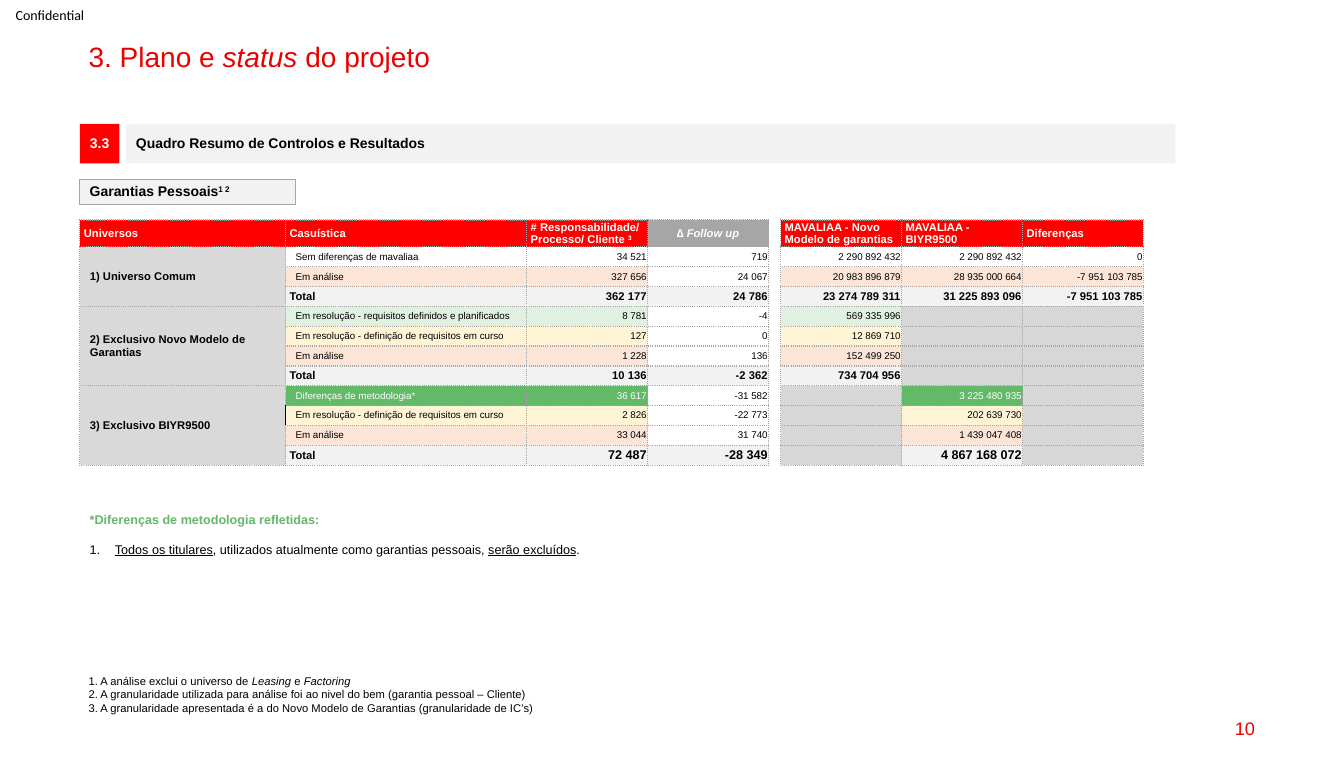
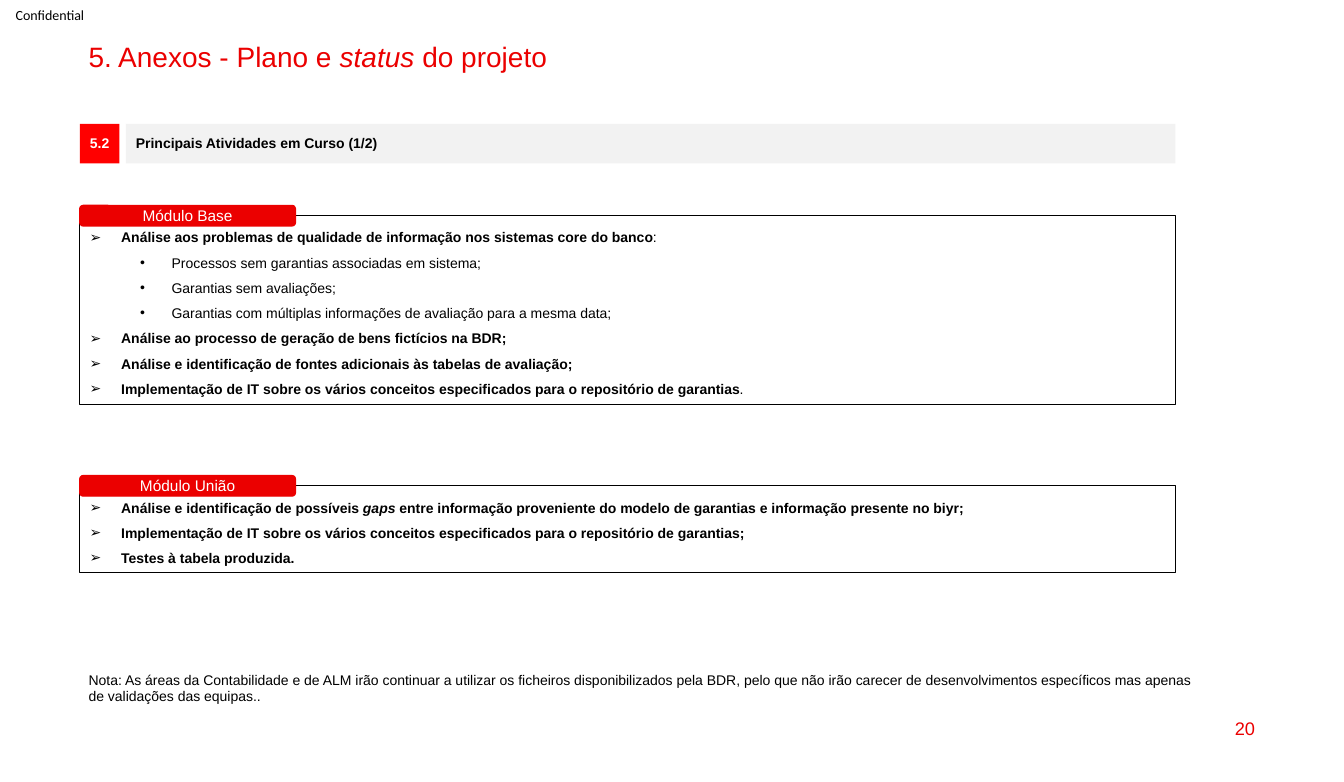
from dataclasses import dataclass
from typing import NamedTuple, Optional

from lxml import etree
from pptx import Presentation
from pptx.dml.color import RGBColor
from pptx.enum.shapes import MSO_SHAPE
from pptx.enum.text import MSO_ANCHOR, PP_ALIGN
from pptx.oxml.ns import qn
from pptx.util import Pt


@dataclass(frozen=True)
class Theme:
    accent: RGBColor = RGBColor(0xEB, 0x00, 0x00)
    red: RGBColor = RGBColor(0xFF, 0x00, 0x00)
    white: RGBColor = RGBColor(0xFF, 0xFF, 0xFF)
    black: RGBColor = RGBColor(0x00, 0x00, 0x00)
    band: RGBColor = RGBColor(0xF2, 0xF2, 0xF2)
    rule: RGBColor = RGBColor(0xA6, 0xA6, 0xA6)
    universe: RGBColor = RGBColor(0xD9, 0xD9, 0xD9)
    unused: RGBColor = RGBColor(0xD7, 0xD7, 0xD7)
    method: RGBColor = RGBColor(0x62, 0xB9, 0x67)
    planned: RGBColor = RGBColor(0xE0, 0xF1, 0xE1)
    ongoing: RGBColor = RGBColor(0xFF, 0xF5, 0xD6)
    analysis: RGBColor = RGBColor(0xFC, 0xE4, 0xD6)
    font: str = "Arial"
    label_font: str = "Calibri"
    title: float = 20
    page: float = 13
    tab: float = 11
    body: float = 10
    remark: float = 9
    small: float = 8
    tiny: float = 7


THEME = Theme()
LEFT = 57
TAB_WIDTH = 154


class Box(NamedTuple):
    left: float
    top: float
    width: float
    height: float


class Run(NamedTuple):
    text: str
    bold: bool = False
    italic: bool = False
    underline: bool = False
    raised: bool = False


@dataclass
class Line:
    runs: list[Run]
    size: float = THEME.body
    color: RGBColor = THEME.black
    align: PP_ALIGN = PP_ALIGN.LEFT
    spacing: float = 1.0
    before: float = 0
    bullet: str = ""
    indent: float = 0
    hanging: float = 0
    font: str = THEME.font


class Panel(NamedTuple):
    tab: str
    box: Box
    lines: list[Line]


class CaseRow(NamedTuple):
    label: str
    fill: Optional[RGBColor]
    values: tuple[Optional[str], ...]
    is_total: bool = False
    value_size: float = THEME.tiny


class Universe(NamedTuple):
    name: str
    rows: list[CaseRow]


def set_bullet(paragraph, line: Line) -> None:
    """A bullet of "1." starts automatic numbering."""
    properties = paragraph._p.get_or_add_pPr()
    properties.set("marL", str(Pt(line.indent)))
    properties.set("indent", str(Pt(-line.hanging)))
    if line.bullet == "1.":
        etree.SubElement(properties, qn("a:buAutoNum"), type="arabicPeriod")
    else:
        etree.SubElement(properties, qn("a:buFont"), typeface=line.font)
        etree.SubElement(properties, qn("a:buChar"), char=line.bullet)


def write(frame, lines: list[Line]) -> None:
    for index, line in enumerate(lines):
        paragraph = frame.paragraphs[0] if index == 0 else frame.add_paragraph()
        if line.bullet:
            set_bullet(paragraph, line)
        paragraph.alignment = line.align
        paragraph.line_spacing = line.spacing
        if line.before:
            paragraph.space_before = Pt(line.before)
        for part in line.runs:
            run = paragraph.add_run()
            run.text = part.text
            font = run.font
            font.name, font.size = line.font, Pt(line.size)
            font.bold, font.italic, font.underline = part.bold, part.italic, part.underline
            font.color.rgb = line.color
            if part.raised:
                run._r.get_or_add_rPr().set("baseline", "30000")


def fill_frame(frame, lines: list[Line], anchor: MSO_ANCHOR, inset: tuple[float, float]) -> None:
    frame.word_wrap = True
    frame.vertical_anchor = anchor
    frame.margin_left = frame.margin_right = Pt(inset[0])
    frame.margin_top = frame.margin_bottom = Pt(inset[1])
    write(frame, lines)


def add_text(slide, box: Box, lines: list[Line], anchor=MSO_ANCHOR.TOP, inset=(7.2, 3.6)) -> None:
    text = slide.shapes.add_textbox(*map(Pt, box))
    fill_frame(text.text_frame, lines, anchor, inset)


def add_block(slide, box: Box, lines: list[Line], fill: Optional[RGBColor] = None,
              outline: Optional[RGBColor] = None, weight: float = 0.75,
              kind=MSO_SHAPE.RECTANGLE, anchor=MSO_ANCHOR.MIDDLE, inset=(7.2, 3.6)) -> None:
    block = slide.shapes.add_shape(kind, *map(Pt, box))
    block.shadow.inherit = False
    if fill is None:
        block.fill.background()
    else:
        block.fill.solid()
        block.fill.fore_color.rgb = fill
    if outline is None:
        block.line.fill.background()
    else:
        block.line.color.rgb = outline
        block.line.width = Pt(weight)
    fill_frame(block.text_frame, lines, anchor, inset)


def start_slide(deck, title_start: str, section: str, heading: str, page: str):
    """Add a slide with the shared label, title, section band and page number."""
    slide = deck.slides.add_slide(deck.slide_layouts[6])
    add_text(slide, Box(0, 0, 71.3, 21),
             [Line([Run("Confidential")], align=PP_ALIGN.CENTER, font=THEME.label_font)],
             MSO_ANCHOR.MIDDLE, (0, 0))
    title = [Run(title_start), Run("status", italic=True), Run(" do projeto")]
    add_text(slide, Box(56.2, 27.4, 847.4, 24.5),
             [Line(title, THEME.title, THEME.accent, spacing=0.9)])
    add_text(slide, Box(687.6, 505.5, 216, 29.5),
             [Line([Run(page)], THEME.page, THEME.accent, PP_ALIGN.RIGHT)], MSO_ANCHOR.MIDDLE)
    add_block(slide, Box(LEFT, 88.5, 28.3, 28.3),
              [Line([Run(section, bold=True)], color=THEME.white, align=PP_ALIGN.CENTER, spacing=0.9)],
              THEME.red, inset=(0, 3.6))
    add_block(slide, Box(90, 88.5, 749.5, 28.3),
              [Line([Run(heading, bold=True)], spacing=0.9)], THEME.band)
    return slide


def set_edges(cell, edges: dict[str, Optional[RGBColor]]) -> None:
    """Draw cell borders by side (L, R, T, B); None hides the side."""
    properties = cell._tc.get_or_add_tcPr()
    for position, side in enumerate("LRTB"):
        color = edges[side]
        edge = etree.Element(qn(f"a:ln{side}"), w=str(Pt(1)))
        if color is None:
            etree.SubElement(edge, qn("a:noFill"))
        else:
            solid = etree.SubElement(edge, qn("a:solidFill"))
            etree.SubElement(solid, qn("a:srgbClr"), val=str(color))
            etree.SubElement(edge, qn("a:prstDash"), val="sysDot" if color == THEME.rule else "solid")
        properties.insert(position, edge)


def fill_cell(cell, lines: list[Line], fill: Optional[RGBColor], left: float = 2.9, right: float = 2.9) -> None:
    cell.margin_left, cell.margin_right = Pt(left), Pt(right)
    cell.margin_top = cell.margin_bottom = 0
    cell.vertical_anchor = MSO_ANCHOR.MIDDLE
    if fill is None:
        cell.fill.background()
    else:
        cell.fill.solid()
        cell.fill.fore_color.rgb = fill
    if lines:
        write(cell.text_frame, lines)
    else:
        etree.SubElement(cell.text_frame.paragraphs[0]._p, qn("a:endParaRPr"), sz=str(int(THEME.tiny * 100)))


GAP_COLUMN = 4
DELTA_COLUMN = 3
VALUE_COLUMNS = (2, 3, 5, 6, 7)
COLUMN_WIDTHS = (147, 172.2, 86.4, 86.4, 8.4, 86.4, 86.4, 86.4)
HEADERS = {
    0: [[Run("Universos", True)]],
    1: [[Run("Casuística", True)]],
    2: [[Run("# Responsabilidade/", True)], [Run("Processo/ Cliente ", True), Run("3", True, raised=True)]],
    3: [[Run("∆ Follow up", True, True)]],
    5: [[Run("MAVALIAA - Novo Modelo de garantias", True)]],
    6: [[Run("MAVALIAA - BIYR9500", True)]],
    7: [[Run("Diferenças", True)]],
}
PLANNED = "Em resolução - requisitos definidos e planificados"
ONGOING = "Em resolução - definição de requisitos em curso"
ANALYSIS = "Em análise"
UNIVERSES = [
    Universe("1) Universo Comum", [
        CaseRow("Sem diferenças de mavaliaa", None, ("34 521", "719", "2 290 892 432", "2 290 892 432", "0")),
        CaseRow(ANALYSIS, THEME.analysis,
                ("327 656", "24 067", "20 983 896 879", "28 935 000 664", "-7 951 103 785")),
        CaseRow("Total", THEME.band, ("362 177", "24 786", "23 274 789 311", "31 225 893 096", "-7 951 103 785"),
                True, THEME.small),
    ]),
    Universe("2) Exclusivo Novo Modelo de Garantias", [
        CaseRow(PLANNED, THEME.planned, ("8 781", "-4", "569 335 996", None, None)),
        CaseRow(ONGOING, THEME.ongoing, ("127", "0", "12 869 710", None, None)),
        CaseRow(ANALYSIS, THEME.analysis, ("1 228", "136", "152 499 250", None, None)),
        CaseRow("Total", THEME.band, ("10 136", "-2 362", "734 704 956", None, None), True, THEME.small),
    ]),
    Universe("3) Exclusivo BIYR9500", [
        CaseRow("Diferenças de metodologia*", THEME.method, ("36 617", "-31 582", None, "3 225 480 935", None)),
        CaseRow(ONGOING, THEME.ongoing, ("2 826", "-22 773", None, "202 639 730", None)),
        CaseRow(ANALYSIS, THEME.analysis, ("33 044", "31 740", None, "1 439 047 408", None)),
        CaseRow("Total", THEME.band, ("72 487", "-28 349", None, "4 867 168 072", None), True, THEME.remark),
    ]),
]
SOLID_EDGE_ROW = 9


def fill_case_row(cells, case: CaseRow) -> None:
    ink = THEME.white if case.fill == THEME.method else THEME.black
    label_size = THEME.small if case.is_total else THEME.tiny
    fill_cell(cells[1], [Line([Run(case.label, case.is_total)], label_size, ink)], case.fill,
              2.9 if case.is_total else 7.2)
    for column, value in zip(VALUE_COLUMNS, case.values):
        if value is None:
            fill_cell(cells[column], [], THEME.unused)
            continue
        plain = column == DELTA_COLUMN and not case.is_total
        line = Line([Run(value, case.is_total)], case.value_size, THEME.black if plain else ink, PP_ALIGN.RIGHT)
        fill_cell(cells[column], [line], None if plain else case.fill, 0.7, 0.7)


def add_results_table(slide) -> None:
    row_heights = [19] + [14.2] * sum(len(universe.rows) for universe in UNIVERSES)
    box = Box(LEFT, 157.2, sum(COLUMN_WIDTHS), sum(row_heights))
    table = slide.shapes.add_table(len(row_heights), len(COLUMN_WIDTHS), *map(Pt, box)).table
    table.first_row = table.horz_banding = False
    for column, width in zip(table.columns, COLUMN_WIDTHS):
        column.width = Pt(width)
    for row, height in zip(table.rows, row_heights):
        row.height = Pt(height)
        fill_cell(row.cells[GAP_COLUMN], [], None)
    for column, texts in HEADERS.items():
        is_delta = column == DELTA_COLUMN
        align = PP_ALIGN.CENTER if is_delta else PP_ALIGN.LEFT
        fill_cell(table.cell(0, column), [Line(runs, THEME.small, THEME.white, align) for runs in texts],
                  THEME.rule if is_delta else THEME.red)
    top = 1
    for universe in UNIVERSES:
        for offset, case in enumerate(universe.rows):
            name = [Line([Run(universe.name, True)], THEME.small)] if offset == 0 else []
            fill_cell(table.cell(top + offset, 0), name, THEME.universe, 7.2, 7.2)
            fill_case_row(table.rows[top + offset].cells, case)
        bottom = top + len(universe.rows) - 1
        table.cell(top, 0).merge(table.cell(bottom, 0))
        top = bottom + 1
    for row in range(len(row_heights)):
        for column in range(len(COLUMN_WIDTHS)):
            edges = dict.fromkeys("LRTB", THEME.rule)
            if column == GAP_COLUMN:
                edges.update(T=None, B=None)
            if row == SOLID_EDGE_ROW and column < 2:
                edges["RL"[column]] = THEME.black
            set_edges(table.cell(row, column), edges)


def build_results(deck) -> None:
    slide = start_slide(deck, "3. Plano e ", "3.3", "Quadro Resumo de Controlos e Resultados", "10")
    add_block(slide, Box(LEFT, 128.4, TAB_WIDTH, 18),
              [Line([Run("Garantias Pessoais", True), Run("1 2", True, raised=True)], spacing=0.9)],
              THEME.band, THEME.rule)
    add_results_table(slide)
    footnotes = [
        [Run("1. A análise exclui o universo de "), Run("Leasing", italic=True), Run(" e "),
         Run("Factoring", italic=True)],
        [Run("2. A granularidade utilizada para análise foi ao nivel do bem (garantia pessoal – Cliente)")],
        [Run("3. A granularidade apresentada é a do Novo Modelo de Garantias (granularidade de IC’s)")],
    ]
    add_text(slide, Box(56.2, 478.1, 360, 36), [Line(runs, THEME.small) for runs in footnotes])
    excluded = [Run("Todos os titulares", underline=True),
                Run(", utilizados atualmente como garantias pessoais, "),
                Run("serão excluídos", underline=True), Run(".")]
    add_text(slide, Box(LEFT, 362.2, 759.6, 108), [
        Line([Run("*Diferenças de metodologia refletidas:", True)], THEME.remark, THEME.method),
        Line(excluded, THEME.remark, before=10.5, bullet="1.", indent=18, hanging=18)])


def activity(*runs: Run) -> Line:
    return Line(list(runs), spacing=1.5, bullet="➢", indent=22.5, hanging=22.5)


def detail(text: str) -> Line:
    return Line([Run(text)], spacing=1.5, bullet="•", indent=58.5, hanging=22.5)


def add_panel(slide, panel: Panel) -> None:
    add_block(slide, panel.box, panel.lines, outline=THEME.black, weight=0.5, anchor=MSO_ANCHOR.TOP)
    add_block(slide, Box(LEFT, panel.box.top - 7.2, TAB_WIDTH, 14.6),
              [Line([Run(panel.tab)], THEME.tab, THEME.white, PP_ALIGN.CENTER)],
              THEME.accent, THEME.accent, 1, MSO_SHAPE.ROUNDED_RECTANGLE, inset=(7.2, 0))


def build_activities(deck) -> None:
    slide = start_slide(deck, "5. Anexos - Plano e ", "5.2", "Principais Atividades em Curso (1/2)", "20")
    repository = "Implementação de IT sobre os vários conceitos especificados para o repositório de garantias"
    panels = [
        Panel("Módulo Base", Box(LEFT, 154, 782.6, 134.8), [
            activity(Run("Análise aos problemas de qualidade de informação nos sistemas core do banco", True),
                     Run(":")),
            detail("Processos sem garantias associadas em sistema;"),
            detail("Garantias sem avaliações;"),
            detail("Garantias com múltiplas informações de avaliação para a mesma data;"),
            activity(Run("Análise ao processo de geração de bens fictícios na BDR;", True)),
            activity(Run("Análise e identificação de fontes adicionais às tabelas de avaliação;", True)),
            activity(Run(repository, True), Run("."))]),
        Panel("Módulo União", Box(LEFT, 347, 782.6, 62), [
            activity(Run("Análise e identificação de possíveis ", True), Run("gaps", True, True),
                     Run(" entre informação proveniente do modelo de garantias e informação presente no biyr;",
                         True)),
            activity(Run(repository + ";", True)),
            activity(Run("Testes à tabela produzida.", True))]),
    ]
    for panel in panels:
        add_panel(slide, panel)
    note = ("Nota: As áreas da Contabilidade e de ALM irão continuar a utilizar os ficheiros disponibilizados "
            "pela BDR, pelo que não irão carecer de desenvolvimentos específicos mas apenas",
            "de validações das equipas..")
    add_text(slide, Box(56.2, 476, 811.4, 31.7), [Line([Run(text)]) for text in note])


def main() -> None:
    deck = Presentation()
    deck.slide_width, deck.slide_height = Pt(960), Pt(558.7)
    build_results(deck)
    build_activities(deck)
    deck.save("out.pptx")


if __name__ == "__main__":
    main()
